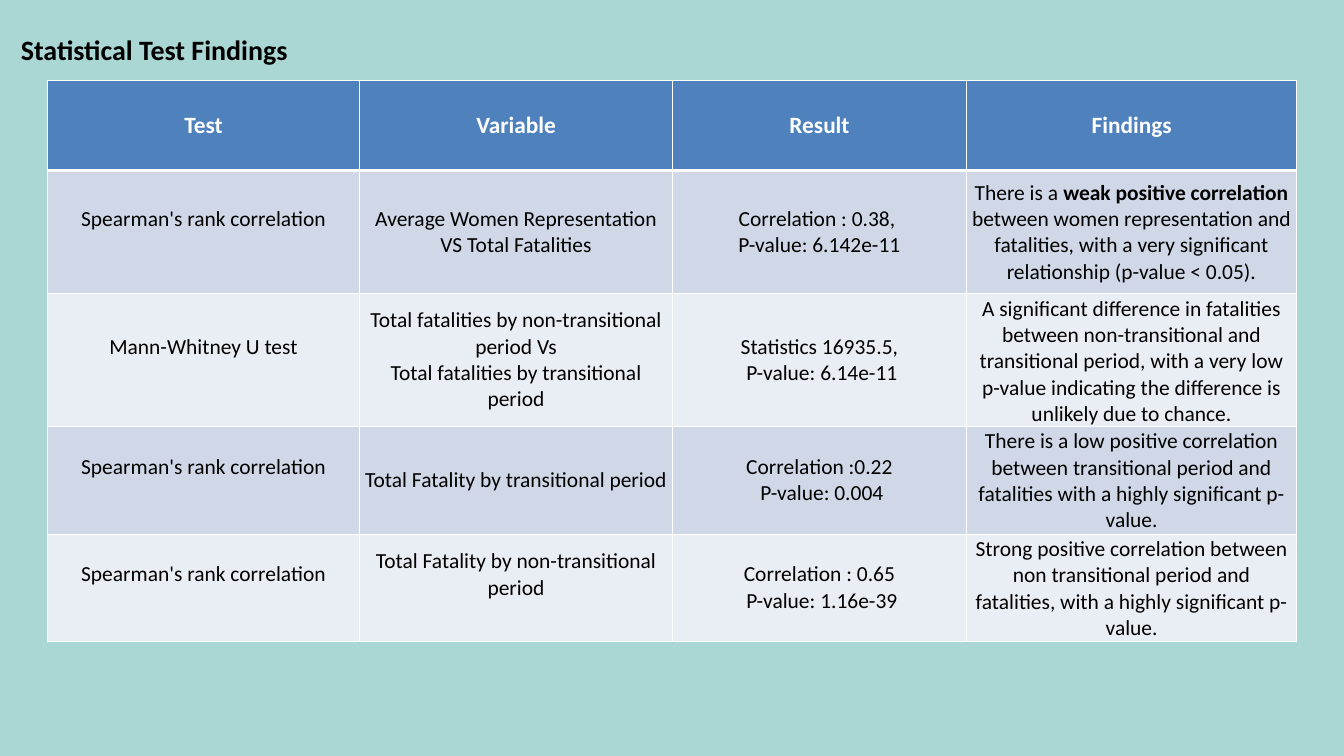
from dataclasses import dataclass

from lxml import etree
from pptx import Presentation
from pptx import util as u
from pptx.dml.color import RGBColor
from pptx.enum import text
from pptx.oxml.ns import qn

WIDTH, HEIGHT = 20, 11.25
FONT = "Calibri"
COLORS = {
    "background": "AAD7D4",
    "header": "4F81BD",
    "odd_row": "D0D8E8",
    "even_row": "E9EDF4",
    "border": "FFFFFF",
    "header_text": "FFFFFF",
    "text": "000000",
}
COLUMN_WIDTHS = (4.65, 4.65, 4.38, 4.91)
ROW_HEIGHTS = (1.35, 1.83, 1.6, 1.6, 1.6)
SIDE_MARGIN, END_MARGIN, RAISED_MARGIN = 0.07, 0.03, 0.42
HEADINGS = ("Test", "Variable", "Result", "Findings")


@dataclass(frozen=True)
class Finding:
    test: str
    variable: str
    result: str
    conclusion: str
    raised: tuple[int, ...] = (0,)

    def cells(self) -> tuple[str, ...]:
        return self.test, self.variable, self.result, self.conclusion


FINDINGS = (
    Finding(
        "Spearman's rank correlation",
        "Average Women Representation VS Total Fatalities",
        "Correlation : 0.38, \nP-value: 6.142e-11",
        "There is a **weak positive correlation** between women representation "
        "and fatalities, with a very significant relationship (p-value < 0.05).",
    ),
    Finding(
        "Mann-Whitney U test",
        "Total fatalities by non-transitional period Vs\n"
        "Total fatalities by transitional period",
        "Statistics 16935.5,\n P-value: 6.14e-11",
        "A significant difference in fatalities between non-transitional and "
        "transitional period, with a very low p-value indicating the difference "
        "is unlikely due to chance.",
    ),
    Finding(
        "Spearman's rank correlation",
        "Total Fatality by transitional period",
        "Correlation :0.22\n P-value: 0.004",
        "There is a low positive correlation between transitional period and "
        "fatalities with a highly significant p-value.",
    ),
    Finding(
        "Spearman's rank correlation",
        "Total Fatality by non-transitional period",
        "Correlation : 0.65\n P-value: 1.16e-39",
        "Strong positive correlation between non transitional period and "
        "fatalities, with a highly significant p-value.",
        raised=(0, 1),
    ),
)


def color(name: str) -> RGBColor:
    return RGBColor.from_string(COLORS[name])


def write(frame, content: str, *, size: float, ink: str = "text",
          bold: bool = False, align=text.PP_ALIGN.CENTER) -> None:
    for index, line in enumerate(content.split("\n")):
        paragraph = frame.paragraphs[0] if index == 0 else frame.add_paragraph()
        paragraph.alignment = align
        for part, words in enumerate(line.split("**")):
            run = paragraph.add_run()
            run.text = words
            run.font.name = FONT
            run.font.size = u.Pt(size)
            run.font.bold = bold or part % 2 == 1
            run.font.color.rgb = color(ink)


def set_borders(cell, *, bottom: float = 1) -> None:
    properties = cell._tc.get_or_add_tcPr()
    widths = {"lnL": 1, "lnR": 1, "lnT": 1, "lnB": bottom}
    for position, (side, width) in enumerate(widths.items()):
        line = etree.Element(qn(f"a:{side}"), w=str(u.Pt(width)))
        fill = etree.SubElement(line, qn("a:solidFill"))
        etree.SubElement(fill, qn("a:srgbClr"), val=COLORS["border"])
        properties.insert(position, line)


def format_cell(cell, content: str, *, fill: str, size: float = 23,
                ink: str = "text", bold: bool = False,
                raised: bool = False, bottom: float = 1) -> None:
    cell.fill.solid()
    cell.fill.fore_color.rgb = color(fill)
    cell.vertical_anchor = text.MSO_ANCHOR.MIDDLE
    cell.margin_left = cell.margin_right = u.Inches(SIDE_MARGIN)
    cell.margin_top = u.Inches(END_MARGIN)
    cell.margin_bottom = u.Inches(RAISED_MARGIN if raised else END_MARGIN)
    set_borders(cell, bottom=bottom)
    write(cell.text_frame, content, size=size, ink=ink, bold=bold)


def add_title(slide, content: str) -> None:
    title = slide.shapes.title
    title.left, title.top = u.Inches(0.21), u.Inches(0.43)
    title.width, title.height = u.Inches(WIDTH - 2 * 0.21), u.Inches(2.63)
    frame = title.text_frame
    frame.word_wrap = True
    frame.auto_size = text.MSO_AUTO_SIZE.SHAPE_TO_FIT_TEXT
    frame.vertical_anchor = text.MSO_ANCHOR.TOP
    write(frame, content, size=30, bold=True, align=text.PP_ALIGN.LEFT)


def add_findings_table(slide) -> None:
    width = sum(COLUMN_WIDTHS)
    table = slide.shapes.add_table(
        len(ROW_HEIGHTS), len(COLUMN_WIDTHS), u.Inches((WIDTH - width) / 2),
        u.Inches(1.19), u.Inches(width), u.Inches(sum(ROW_HEIGHTS)),
    ).table
    for column, column_width in zip(table.columns, COLUMN_WIDTHS):
        column.width = u.Inches(column_width)
    for row, row_height in zip(table.rows, ROW_HEIGHTS):
        row.height = u.Inches(row_height)
    for column, heading in enumerate(HEADINGS):
        format_cell(table.cell(0, column), heading, fill="header", size=25,
                    ink="header_text", bold=True, bottom=3)
    for row, finding in enumerate(FINDINGS, start=1):
        fill = "odd_row" if row % 2 else "even_row"
        for column, content in enumerate(finding.cells()):
            format_cell(table.cell(row, column), content, fill=fill,
                        raised=column in finding.raised)


def main() -> None:
    presentation = Presentation()
    presentation.slide_width = u.Inches(WIDTH)
    presentation.slide_height = u.Inches(HEIGHT)
    slide = presentation.slides.add_slide(presentation.slide_layouts[5])
    slide.background.fill.solid()
    slide.background.fill.fore_color.rgb = color("background")
    add_title(slide, "Statistical Test Findings")
    add_findings_table(slide)
    presentation.save("out.pptx")


if __name__ == "__main__":
    main()
